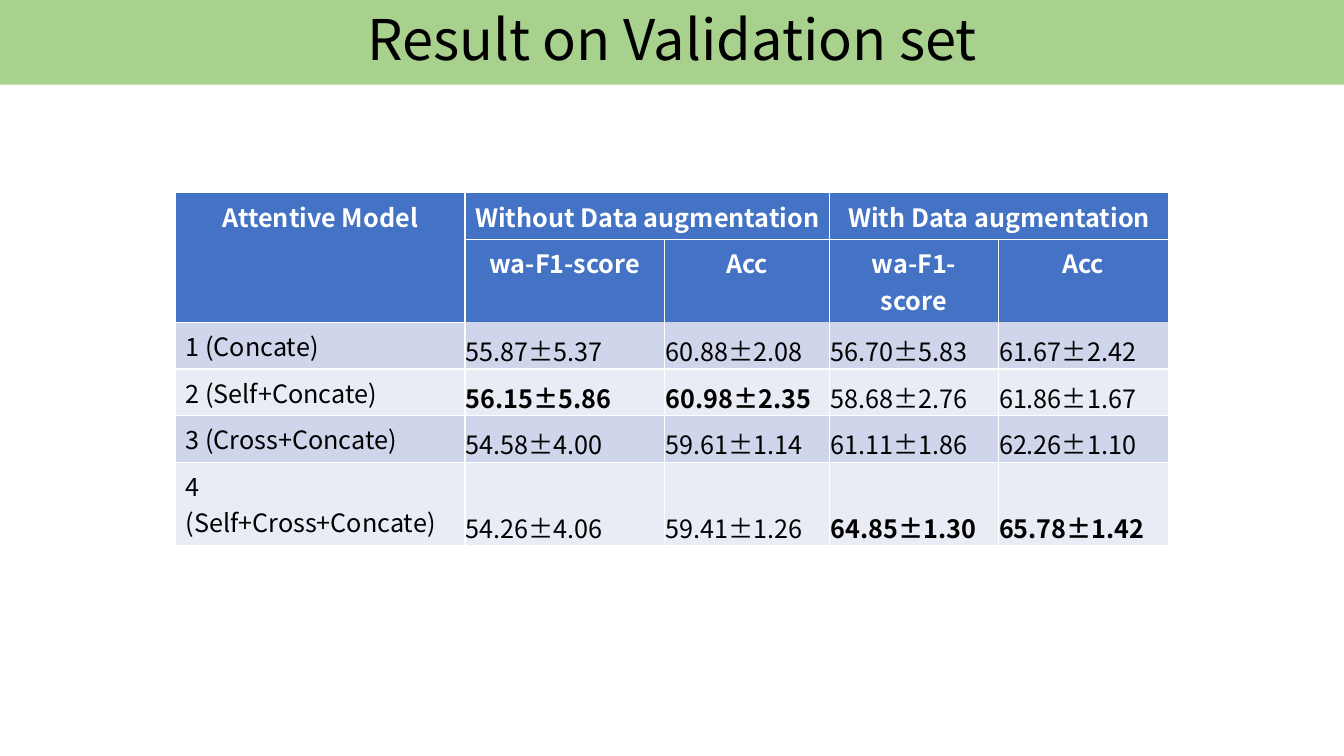
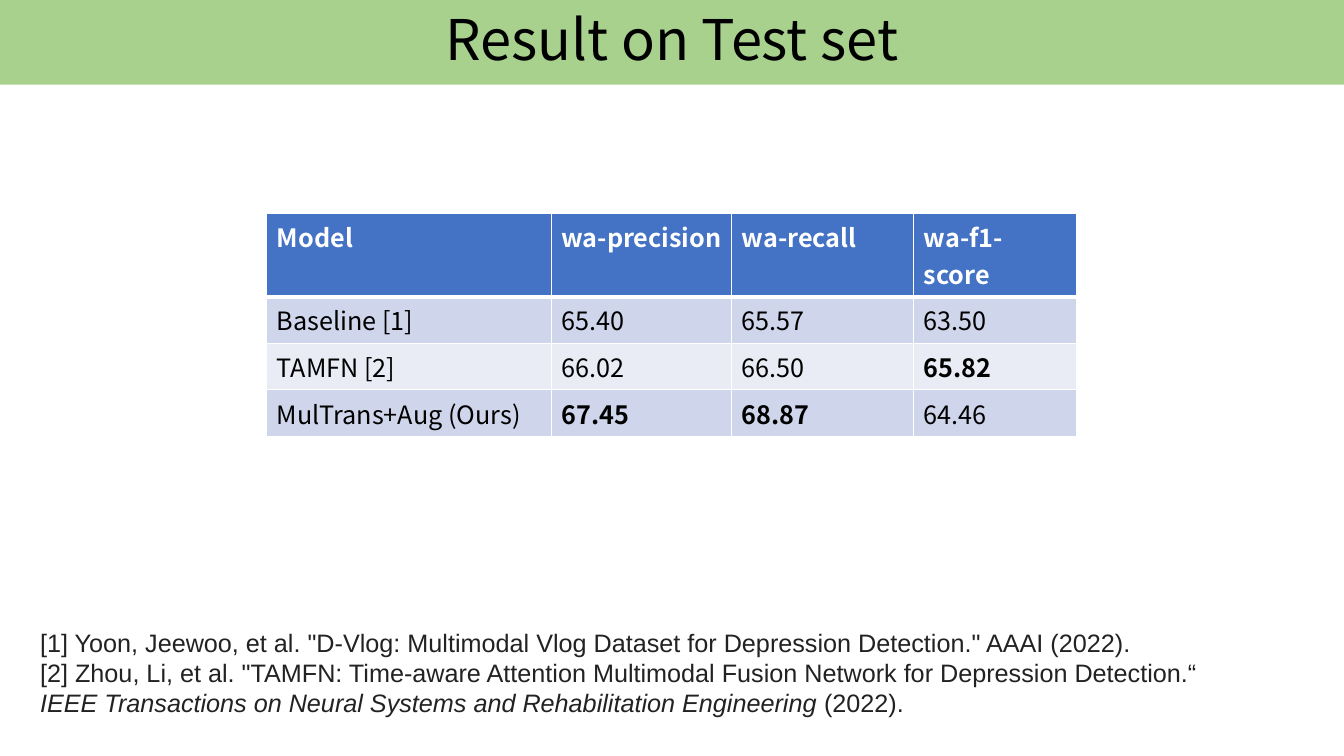
from lxml import etree
from pptx import Presentation
from pptx.dml.color import RGBColor
from pptx.enum import shapes, text
from pptx.oxml.ns import qn
from pptx.util import Pt

# Shared look
BAND_GREEN = RGBColor(0xA9, 0xD1, 0x8E)
HEADER_BLUE = RGBColor(0x44, 0x72, 0xC4)
ROW_TINTS = (RGBColor(0xCF, 0xD5, 0xEA), RGBColor(0xE9, 0xEB, 0xF5))
WHITE = RGBColor(0xFF, 0xFF, 0xFF)
BLACK = RGBColor(0, 0, 0)
REFERENCE_GREY = RGBColor(0x22, 0x22, 0x22)
MAIN_FONT, REFERENCE_FONT = "Noto Sans CJK KR", "Arial"
SLIDE_W, SLIDE_H, BAND_H = 960, 540, 60.5
TEXT_SIZE, TITLE_SIZE = 18, 40

# Content: the best value in each column is set in bold
VALIDATION = dict(
    title="Result on Validation set",
    at=(125.5, 137.7), row_height=29.2,
    widths=(206.6, 142.6, 118.1, 120.2, 121.7),
    header=[
        ("Attentive Model", "Without Data augmentation", "", "With Data augmentation", ""),
        ("", "wa-F1-score", "Acc", "wa-F1-score", "Acc"),
    ],
    merges=[((0, 0), (1, 0)), ((0, 1), (0, 2)), ((0, 3), (0, 4))],
    rows=[
        ("1 (Concate)", "55.87±5.37", "60.88±2.08", "56.70±5.83", "61.67±2.42"),
        ("2 (Self+Concate)", "56.15±5.86", "60.98±2.35", "58.68±2.76", "61.86±1.67"),
        ("3 (Cross+Concate)", "54.58±4.00", "59.61±1.14", "61.11±1.86", "62.26±1.10"),
        ("4 (Self+Cross+Concate)", "54.26±4.06", "59.41±1.26", "64.85±1.30", "65.78±1.42"),
    ],
    header_align=text.PP_ALIGN.CENTER, header_rule=0, tight_values=True,
    references=[],
)
TEST = dict(
    title="Result on Test set",
    at=(190.6, 152.6), row_height=29,
    widths=(203.2, 128.9, 130.1, 116.6),
    header=[("Model", "wa-precision", "wa-recall", "wa-f1-score")],
    merges=[],
    rows=[
        ("Baseline [1]", "65.40", "65.57", "63.50"),
        ("TAMFN [2]", "66.02", "66.50", "65.82"),
        ("MulTrans+Aug (Ours)", "67.45", "68.87", "64.46"),
    ],
    header_align=text.PP_ALIGN.LEFT, header_rule=3, tight_values=False,
    # Each reference line is a list of (text, italic) runs
    references=[
        [('[1] Yoon, Jeewoo, et al. "D-Vlog: Multimodal Vlog Dataset for Depression Detection." AAAI (2022).', False)],
        [('[2] Zhou, Li, et al. "TAMFN: Time-aware Attention Multimodal Fusion Network for Depression Detection.“', False)],
        [("IEEE Transactions on Neural Systems and Rehabilitation Engineering", True), (" (2022).", False)],
    ],
)


def add_run(paragraph, words, size, color, font=MAIN_FONT, bold=False, italic=False):
    run = paragraph.add_run()
    run.text = words
    run.font.size, run.font.name = Pt(size), font
    run.font.bold, run.font.italic = bold, italic
    run.font.color.rgb = color
    # East Asian font, used for the ± sign
    etree.SubElement(run.font._element, qn("a:ea")).set("typeface", font)


def set_borders(cell, top, bottom):
    """White cell borders; a width of 0 draws no line."""
    props = cell._tc.get_or_add_tcPr()
    for index, (side, width) in enumerate((("L", 1), ("R", 1), ("T", top), ("B", bottom))):
        line = etree.Element(qn("a:ln" + side), w=str(Pt(width)))
        if width:
            fill = etree.SubElement(line, qn("a:solidFill"))
            etree.SubElement(fill, qn("a:srgbClr")).set("val", str(WHITE))
        else:
            etree.SubElement(line, qn("a:noFill"))
        props.insert(index, line)


def add_title(slide, title):
    band = slide.shapes.add_shape(shapes.MSO_SHAPE.RECTANGLE, 0, 0, Pt(SLIDE_W), Pt(BAND_H))
    band.shadow.inherit = False
    band.fill.solid()
    band.fill.fore_color.rgb = BAND_GREEN
    band.line.fill.background()
    band.text_frame.word_wrap = True
    band.text_frame.vertical_anchor = text.MSO_ANCHOR.MIDDLE
    paragraph = band.text_frame.paragraphs[0]
    paragraph.alignment = text.PP_ALIGN.CENTER
    paragraph.line_spacing = 0.9
    add_run(paragraph, title, TITLE_SIZE, BLACK)


def add_results(slide, result):
    header_count = len(result["header"])
    lines = result["header"] + result["rows"]
    best = [max(column) for column in zip(*result["rows"])]
    widths = result["widths"]
    left, top = result["at"]
    table = slide.shapes.add_table(
        len(lines), len(widths), Pt(left), Pt(top),
        Pt(sum(widths)), Pt(result["row_height"] * len(lines))).table
    table.first_row = table.horz_banding = False
    for column, width in zip(table.columns, widths):
        column.width = Pt(width)
    for first, last in result["merges"]:
        table.cell(*first).merge(table.cell(*last))

    for r, line in enumerate(lines):
        is_header = r < header_count
        for c, words in enumerate(line):
            cell = table.cell(r, c)
            cell.fill.solid()
            cell.fill.fore_color.rgb = (
                HEADER_BLUE if is_header else ROW_TINTS[(r - header_count) % 2])
            set_borders(cell,
                        top=result["header_rule"] if r == header_count else 1,
                        bottom=result["header_rule"] if r == header_count - 1 else 1)
            if result["tight_values"] and not is_header and c > 0:
                cell.vertical_anchor = text.MSO_ANCHOR.BOTTOM
                cell.margin_left = cell.margin_right = cell.margin_top = Pt(0.7)
                cell.margin_bottom = 0
            if words:
                paragraph = cell.text_frame.paragraphs[0]
                if is_header:
                    paragraph.alignment = result["header_align"]
                add_run(paragraph, words, TEXT_SIZE, WHITE if is_header else BLACK,
                        bold=is_header or (c > 0 and words == best[c]))


def add_references(slide, references):
    frame = slide.shapes.add_textbox(Pt(21.6), Pt(444.2), Pt(872), Pt(72.7)).text_frame
    frame.word_wrap = True
    frame.auto_size = text.MSO_AUTO_SIZE.SHAPE_TO_FIT_TEXT
    for i, runs in enumerate(references):
        paragraph = frame.add_paragraph() if i else frame.paragraphs[0]
        for words, italic in runs:
            add_run(paragraph, words, TEXT_SIZE, REFERENCE_GREY, REFERENCE_FONT, italic=italic)


def main():
    deck = Presentation()
    deck.slide_width, deck.slide_height = Pt(SLIDE_W), Pt(SLIDE_H)
    for result in (VALIDATION, TEST):
        slide = deck.slides.add_slide(deck.slide_layouts[6])
        add_title(slide, result["title"])
        add_results(slide, result)
        if result["references"]:
            add_references(slide, result["references"])
    deck.save("out.pptx")


if __name__ == "__main__":
    main()
